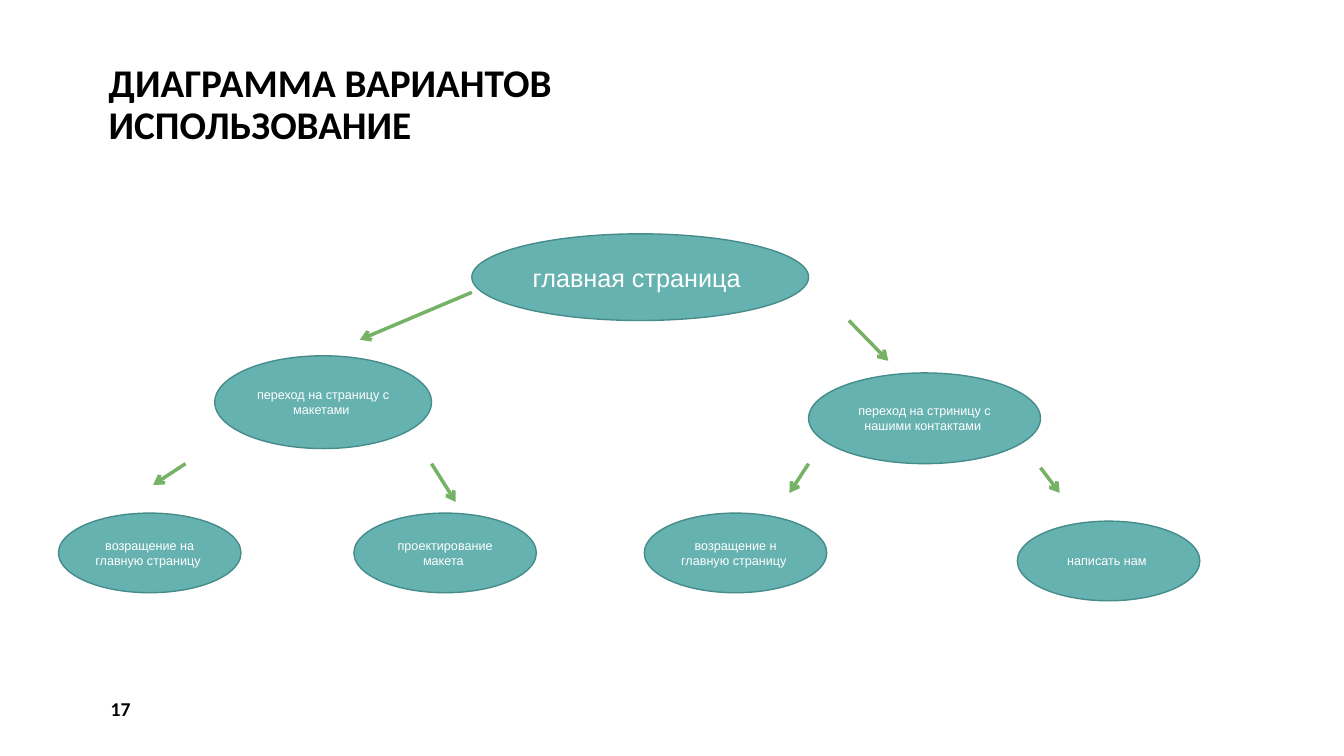
from dataclasses import dataclass

from pptx import Presentation
from pptx.dml.color import RGBColor
from pptx.enum.shapes import MSO_CONNECTOR, MSO_SHAPE
from pptx.enum.text import MSO_ANCHOR, PP_ALIGN
from pptx.oxml.ns import qn
from pptx.util import Inches, Pt
from lxml.etree import SubElement


@dataclass(frozen=True)
class Theme:
    heading_font: str = "Calibri"
    body_font: str = "Arial"
    ink: RGBColor = RGBColor(0x00, 0x00, 0x00)
    paper: RGBColor = RGBColor(0xFF, 0xFF, 0xFF)
    node: RGBColor = RGBColor(0x66, 0xB2, 0xB0)
    outline: RGBColor = RGBColor(0x46, 0x8C, 0x8A)
    arrow: RGBColor = RGBColor(0x75, 0xB2, 0x66)
    title_size: int = 28
    number_size: int = 14
    root_size: int = 18
    node_size: int = 9


THEME = Theme()
LEAF_SIZE = (1.81, 0.79)
LEAF_TOP = 5.09

ROOT = ("главная страница ", 4.68, 2.32, 3.34, 0.86)
PAGES = [
    ("переход на страницу с макетами ", 2.13, 3.53, 2.15, 0.92),
    ("переход на стриницу с нашими контактами ", 8.02, 3.7, 2.3, 0.9),
]
ACTIONS = [
    ("возращение на главную страницу ", 0.58, LEAF_TOP),
    ("проектирование макета ", 3.51, LEAF_TOP),
    ("возращение н главную страницу ", 6.39, LEAF_TOP),
    ("написать нам ", 10.09, 5.17),
]
ARROWS = [
    (4.68, 2.9, 3.57, 3.37),
    (8.42, 3.18, 8.81, 3.58),
    (1.84, 4.6, 1.52, 4.81),
    (4.28, 4.6, 4.52, 4.98),
    (8.02, 4.6, 7.83, 4.89),
    (10.32, 4.64, 10.51, 4.89),
]


def write(tf, text, size, font, color, anchor, bold=False):
    tf.word_wrap = True
    tf.vertical_anchor = anchor
    p = tf.paragraphs[0]
    r = p.add_run()
    r.text = text
    r.font.size = Pt(size)
    r.font.name = font
    r.font.bold = bold
    r.font.color.rgb = color
    return p


def add_heading(s, text, box, size, anchor):
    sp = s.shapes.add_textbox(*map(Inches, box))
    return write(sp.text_frame, text, size, THEME.heading_font, THEME.ink, anchor, bold=True)


def add_node(s, text, x, y, w, h, size=THEME.node_size):
    sp = s.shapes.add_shape(MSO_SHAPE.FLOWCHART_CONNECTOR, *map(Inches, (x, y, w, h)))
    sp.shadow.inherit = False
    sp.fill.solid()
    sp.fill.fore_color.rgb = THEME.node
    sp.line.color.rgb = THEME.outline
    sp.line.width = Pt(1)
    p = write(sp.text_frame, text, size, THEME.body_font, THEME.paper, MSO_ANCHOR.MIDDLE)
    p.alignment = PP_ALIGN.CENTER


def add_arrow(s, *ends):
    sp = s.shapes.add_connector(MSO_CONNECTOR.STRAIGHT, *map(Inches, ends))
    sp.line.color.rgb = THEME.arrow
    sp.line.width = Pt(2.5)
    SubElement(sp.line._get_or_add_ln(), qn("a:tailEnd"), type="arrow")
    SubElement(sp._element.spPr, qn("a:effectLst"))


def main():
    prs = Presentation()
    prs.slide_width = Inches(13.33)
    prs.slide_height = Inches(7.5)
    s = prs.slides.add_slide(prs.slide_layouts[6])

    title = add_heading(s, "ДИАГРАММА ВАРИАНТОВ ИСПОЛЬЗОВАНИЕ", (0.98, 0.15, 6.75, 1.37),
                        THEME.title_size, MSO_ANCHOR.BOTTOM)
    title.line_spacing = 0.9
    add_heading(s, "17", (1, 6.83, 1.3, 0.4), THEME.number_size, MSO_ANCHOR.MIDDLE)

    add_node(s, *ROOT, size=THEME.root_size)
    for page in PAGES:
        add_node(s, *page)
    for action in ACTIONS:
        add_node(s, *action, *LEAF_SIZE)
    for ends in ARROWS:
        add_arrow(s, *ends)

    prs.save("out.pptx")


if __name__ == "__main__":
    main()
